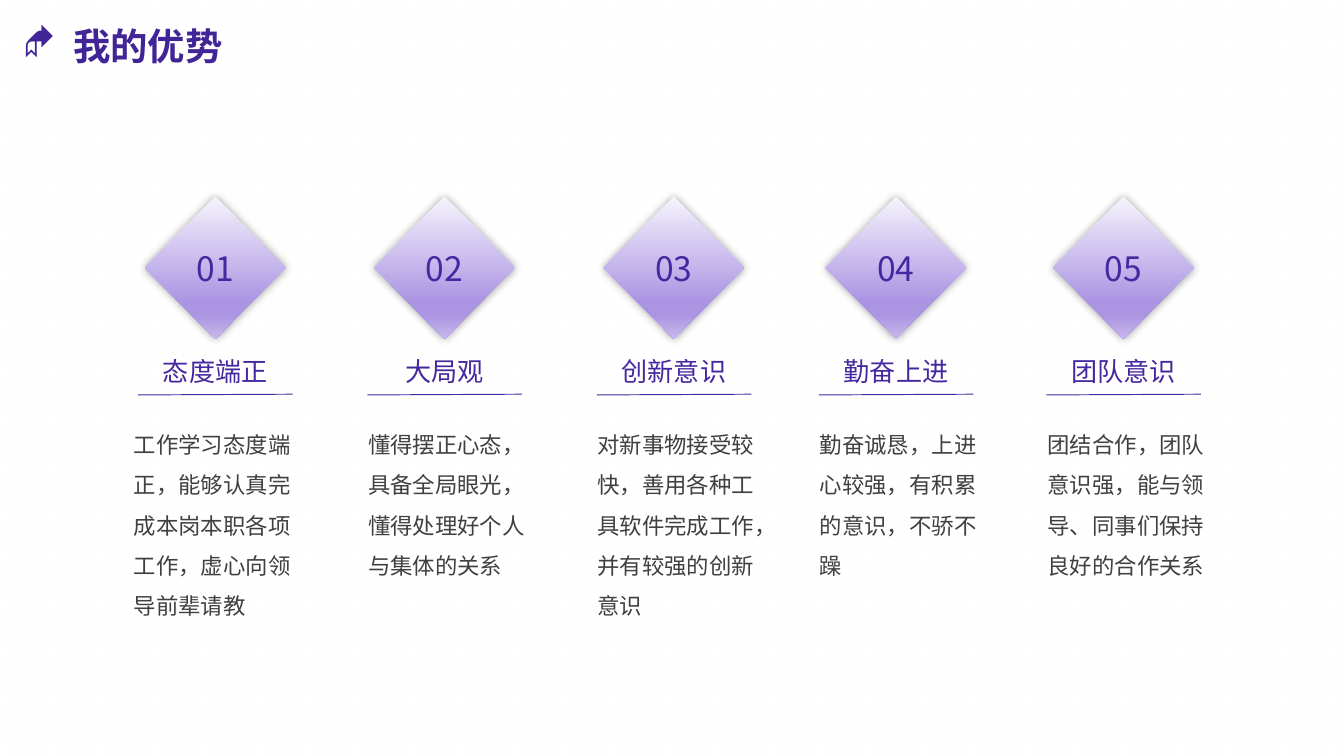
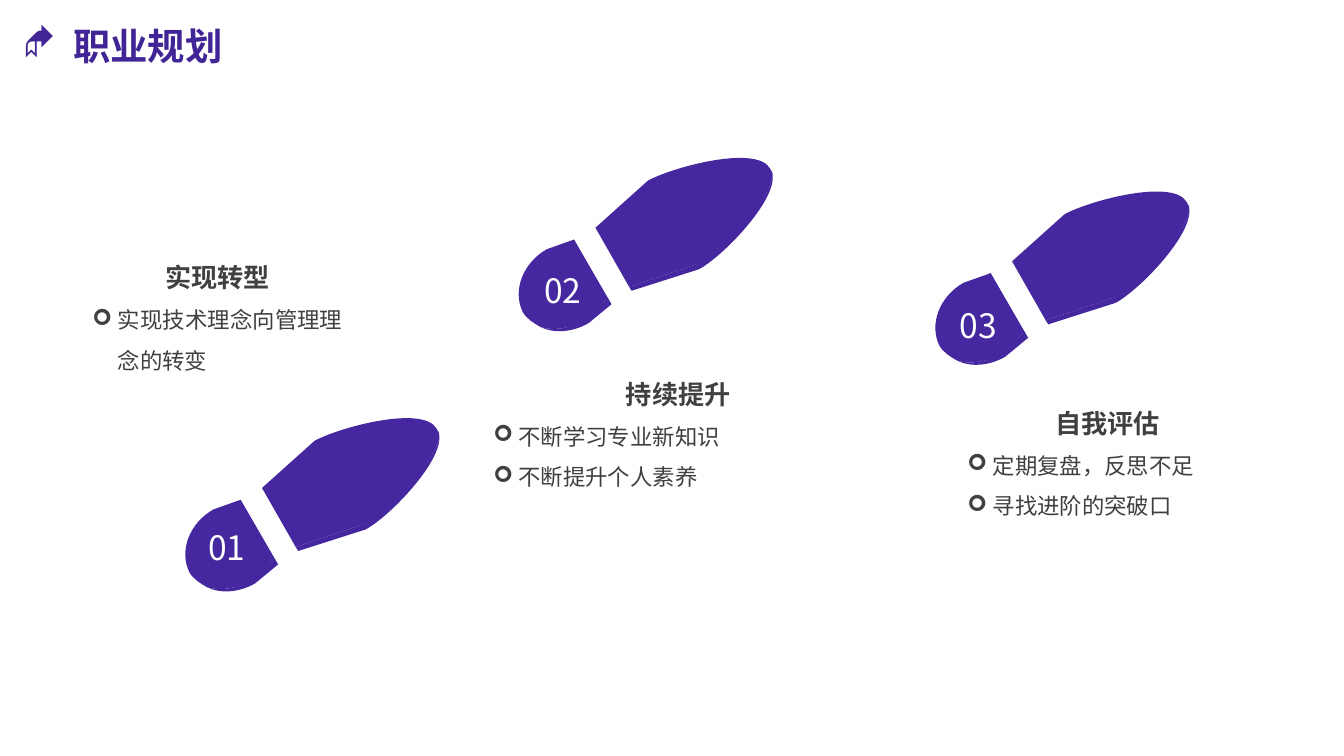
from math import cos, radians, sin

from lxml import etree
from pptx import Presentation
from pptx.dml.color import RGBColor
from pptx.enum.shapes import MSO_CONNECTOR, MSO_SHAPE
from pptx.enum.text import MSO_ANCHOR, MSO_AUTO_SIZE, PP_ALIGN
from pptx.oxml import parse_xml
from pptx.oxml.ns import qn
from pptx.util import Pt

FONT = "Noto Sans CJK SC"
BULLET_FONT = "Wingdings"
TITLE_PURPLE = RGBColor(0x41, 0x25, 0x97)
PURPLE = RGBColor(0x45, 0x27, 0x9F)
GREY = RGBColor(0x40, 0x40, 0x40)
WHITE = RGBColor(0xFF, 0xFF, 0xFF)
OFF_WHITE = RGBColor(0xFD, 0xFD, 0xFD)
# Position, colour and opacity of each gradient stop, in percent
DIAMOND_GRADIENT = [
    (0, RGBColor(0xF6, 0xF3, 0xFC), 100),
    (74, RGBColor(0xAB, 0x95, 0xE3), 100),
    (83, RGBColor(0xAB, 0x95, 0xE3), 100),
    (100, RGBColor(0xC7, 0xB8, 0xEC), 100),
]
BACKDROP_GRADIENT = [(0, WHITE, 82), (100, WHITE, 84)]
CENTER, LEFT, JUSTIFY = PP_ALIGN.CENTER, PP_ALIGN.LEFT, PP_ALIGN.JUSTIFY
TOP, MIDDLE = MSO_ANCHOR.TOP, MSO_ANCHOR.MIDDLE
GROW = MSO_AUTO_SIZE.SHAPE_TO_FIT_TEXT
DIAMOND, RECTANGLE = MSO_SHAPE.DIAMOND, MSO_SHAPE.RECTANGLE
STRAIGHT = MSO_CONNECTOR.STRAIGHT
TITLE_ONLY = 5
SLIDE_WIDTH, SLIDE_HEIGHT = 720, 405
DRAWINGML = "http://schemas.openxmlformats.org/drawingml/2006/main"

# Heading, description, left of diamond, description box (left, width, height)
STRENGTHS_TITLE = "我的优势"
STRENGTHS = [
    ("态度端正", "工作学习态度端正，能够认真完成本岗本职各项工作，虚心向领导前辈请教",
     77.5, (64.6, 101.5, 116.6)),
    ("大局观", "懂得摆正心态，具备全局眼光，懂得处理好个人与集体的关系",
     200.3, (190.1, 101.5, 94.3)),
    ("创新意识", "对新事物接受较快，善用各种工具软件完成工作，并有较强的创新意识",
     323.2, (313, 98.6, 116.6)),
    ("勤奋上进", "勤奋诚恳，上进心较强，有积累的意识，不骄不躁",
     442.2, (432.1, 101.5, 94.3)),
    ("团队意识", "团结合作，团队意识强，能与领导、同事们保持良好的合作关系",
     564.1, (554.1, 101.5, 94.3)),
]

# Heading, goals, text box (left, top, width), shoe origin, number offset
CAREER_TITLE = "职业规划"
CAREER_STEPS = [
    ("实现转型", ["实现技术理念向管理理念的转变"],
     (42.5, 128.2, 148.2), (99, 224), (5.4, 54.6)),
    ("持续提升", ["不断学习专业新知识", "不断提升个人素养"],
     (257.2, 190.8, 212.4), (277.6, 84.6), (6.8, 56.5)),
    ("自我评估", ["定期复盘，反思不足", "寻找进阶的突破口"],
     (511.2, 206.2, 164.2), (500.8, 102.6), (6.3, 57.2)),
]

# Each outline is a list of steps: one point is a line, three points are a curve
SHOE_ROTATION = 330
SHOE_PARTS = [
    # heel
    [[(15.5, 48.9)],
     [(2.5, 56.1), (-3.2, 71.2), (2.5, 82.7)],
     [(4.7, 86.3), (8.3, 88.5), (11.9, 90.6)],
     [(19.1, 92.8), (27.7, 91.4), (35.6, 87)],
     [(47.9, 75.5)], [(29.9, 43.8)]],
    # sole
    [[(69.5, 12.2)], [(41.4, 37.4)], [(59.4, 69)], [(96.1, 56.8)],
     [(107.6, 51), (132.1, 26.6), (136.4, 10.7)],
     [(136.4, 8.6), (136.4, 7.1), (135, 5.7)],
     [(127.8, -7.3), (82.4, 5), (69.5, 12.2)]],
    # rim of the heel
    [[(29.2, 44.6)], [(47.2, 76.2)], [(34.9, 87)],
     [(27.7, 91.4), (19.1, 92.8), (11.9, 90.6)],
     [(19.1, 94.2), (29.2, 93.5), (37.8, 88.5)],
     [(50, 78.4)], [(29.9, 43.8)]],
    # rim of the sole
    [[(136.4, 10.7)],
     [(132.1, 26.6), (106.9, 50.3), (96.1, 56.8)],
     [(59.4, 69)], [(60.8, 71.2)], [(96.8, 59.7)],
     [(109.1, 53.2), (136.4, 25.1), (136.4, 10.7)]],
]


def style_paragraph(paragraph, size, color, align=LEFT, bold=False, spacing=None):
    paragraph.alignment = align
    if spacing:
        paragraph.line_spacing = spacing
    for run in paragraph.runs:
        run.font.size = Pt(size)
        run.font.bold = bold
        run.font.color.rgb = color
        run.font.name = FONT
        etree.SubElement(run.font._element, qn("a:ea"), typeface=FONT)


def add_bullet(paragraph, char, indent):
    properties = paragraph._p.get_or_add_pPr()
    properties.set("marL", str(Pt(indent)))
    properties.set("indent", str(-Pt(indent)))
    etree.SubElement(properties, qn("a:buFont"), typeface=BULLET_FONT)
    etree.SubElement(properties, qn("a:buChar"), char=char)


def add_text(shapes, text, left, top, width, height, wrap=True):
    """Add a text box and return its paragraphs, one for each line of text."""
    frame = shapes.add_textbox(Pt(left), Pt(top), Pt(width), Pt(height)).text_frame
    frame.word_wrap = wrap
    frame.auto_size = GROW
    frame.text = text
    return frame.paragraphs


def fill_downward(shape, gradient):
    shape.line.fill.background()
    shape.fill.gradient()
    shape.fill.gradient_angle = 270
    stops = shape._element.spPr.find(".//" + qn("a:gsLst"))
    for stop in list(stops):
        stops.remove(stop)
    for percent, color, opacity in gradient:
        stop = etree.SubElement(stops, qn("a:gs"), pos=str(percent * 1000))
        tint = etree.SubElement(stop, qn("a:srgbClr"), val=str(color))
        if opacity < 100:
            etree.SubElement(tint, qn("a:alpha"), val=str(opacity * 1000))


def move_backdrop_to_master(deck, slide):
    """Shapes can only be added to slides, so the backdrop moves to the master."""
    backdrop = slide.shapes.add_shape(RECTANGLE, 0, 0, Pt(SLIDE_WIDTH), Pt(SLIDE_HEIGHT))
    backdrop.rotation = 180
    backdrop.shadow.inherit = False
    fill_downward(backdrop, BACKDROP_GRADIENT)
    deck.slide_master.shapes._spTree.insert(2, backdrop._element)


def add_titled_slide(deck, title_text):
    slide = deck.slides.add_slide(deck.slide_layouts[TITLE_ONLY])
    title = slide.shapes.title
    title.left, title.top, title.width, title.height = Pt(5), Pt(9), Pt(300), Pt(31.5)
    frame = title.text_frame
    frame.text = title_text
    frame.vertical_anchor = TOP
    frame.word_wrap = True
    frame.auto_size = GROW
    style_paragraph(frame.paragraphs[0], 20, TITLE_PURPLE, bold=True)
    add_bullet(frame.paragraphs[0], "◆", 27)
    return slide


def add_diamond(shapes, number, left):
    diamond = shapes.add_shape(DIAMOND, Pt(left), Pt(105.3), Pt(75.6), Pt(76.3))
    fill_downward(diamond, DIAMOND_GRADIENT)
    diamond._element.spPr.append(parse_xml(
        f'<a:effectLst xmlns:a="{DRAWINGML}"><a:outerShdw blurRad="{Pt(5)}" algn="ctr" '
        'rotWithShape="0"><a:srgbClr val="000000"><a:alpha val="40000"/></a:srgbClr>'
        '</a:outerShdw></a:effectLst>'))
    frame = diamond.text_frame
    frame.text = number
    frame.vertical_anchor = MIDDLE
    style_paragraph(frame.paragraphs[0], 18, PURPLE, CENTER)


def add_underline(shapes, left):
    underline = shapes.add_connector(STRAIGHT, Pt(left), Pt(211.6), Pt(left + 82.8), Pt(211.2))
    underline.line.color.rgb = PURPLE
    underline.line.width = Pt(0.5)
    etree.SubElement(underline._element.spPr, qn("a:effectLst"))


def rotate(point, degrees):
    x, y = point
    c, s = cos(radians(degrees)), sin(radians(degrees))
    return x * c - y * s, x * s + y * c


def bend_curves(part, outline):
    """Join the three line segments of every curve step into one cubic curve."""
    segments = iter(part._element.spPr.findall(".//" + qn("a:lnTo")))
    for step in outline[1:]:
        lines = [next(segments) for _ in step]
        if len(lines) == 3:
            curve = etree.Element(qn("a:cubicBezTo"))
            lines[0].addprevious(curve)
            for line in lines:
                curve.append(line[0])
                line.getparent().remove(line)


def add_shoe_part(shapes, outline, origin):
    """Draw the outline upright, placed so that its rotation brings it to origin."""
    upright = [rotate(point, -SHOE_ROTATION) for step in outline for point in step]
    middle = [(min(values) + max(values)) / 2 for values in zip(*upright)]
    turned = rotate(middle, SHOE_ROTATION)
    shift = [o + t - m for o, t, m in zip(origin, turned, middle)]
    corners = [(Pt(x), Pt(y)) for x, y in upright]
    builder = shapes.build_freeform(*corners[0])
    builder.add_line_segments(corners[1:])
    part = builder.convert_to_shape(Pt(shift[0]), Pt(shift[1]))
    bend_curves(part, outline)
    part.rotation = SHOE_ROTATION
    part.fill.solid()
    part.fill.fore_color.rgb = PURPLE
    part.line.fill.background()
    part.shadow.inherit = False


def add_shoe(slide, number, origin, number_offset):
    shapes = slide.shapes.add_group_shape().shapes
    for outline in SHOE_PARTS:
        add_shoe_part(shapes, outline, origin)
    left, top = (o + d for o, d in zip(origin, number_offset))
    label = add_text(shapes, number, left, top, 36, 29, wrap=False)
    style_paragraph(label[0], 18, OFF_WHITE)


def build_strengths(deck):
    slide = add_titled_slide(deck, STRENGTHS_TITLE)
    move_backdrop_to_master(deck, slide)
    shapes = slide.shapes
    for i, (heading, description, left, box) in enumerate(STRENGTHS, 1):
        box_left, width, height = box
        body = add_text(shapes, description, box_left, 220.3, width, height)
        style_paragraph(body[0], 12, GREY, spacing=1.5)
        add_diamond(shapes, f"{i:02}", left)
        label = add_text(shapes, heading, left - 2.8, 186.8, 81.4, 24.5)
        style_paragraph(label[0], 14, PURPLE, CENTER)
        add_underline(shapes, left - 3.5)


def build_career(deck):
    slide = add_titled_slide(deck, CAREER_TITLE)
    for i, (heading, goals, box, origin, number_offset) in enumerate(CAREER_STEPS, 1):
        add_shoe(slide, f"{i:02}", origin, number_offset)
        first, *rest = add_text(slide.shapes, "\n".join([heading, *goals]), *box, 76.3)
        style_paragraph(first, 14, GREY, CENTER, bold=True, spacing=1.5)
        for goal in rest:
            style_paragraph(goal, 12, GREY, JUSTIFY, spacing=1.5)
            add_bullet(goal, "➢", 13.5)


def main():
    deck = Presentation()
    deck.slide_width, deck.slide_height = Pt(SLIDE_WIDTH), Pt(SLIDE_HEIGHT)
    build_strengths(deck)
    build_career(deck)
    deck.save("out.pptx")


if __name__ == "__main__":
    main()
